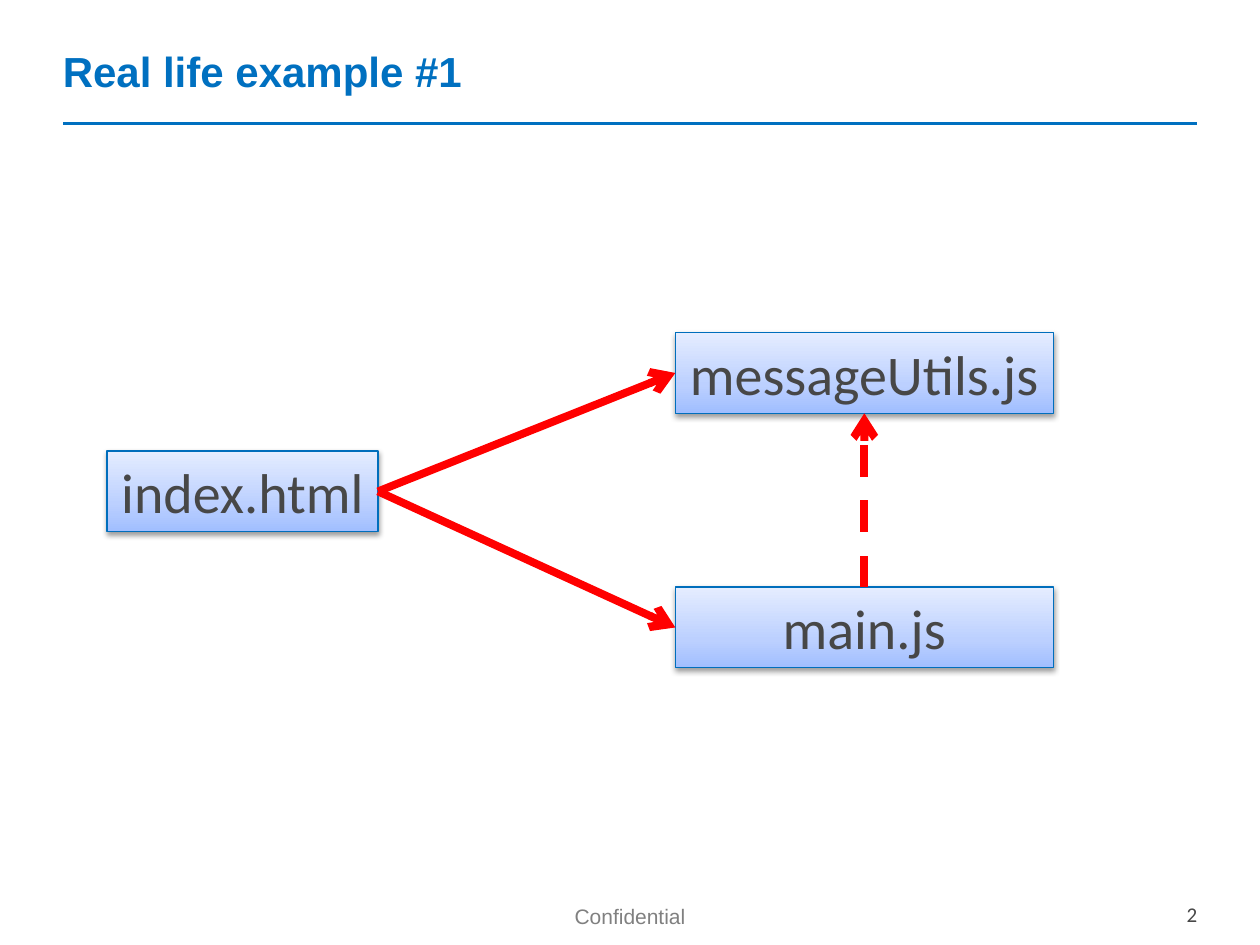
from dataclasses import dataclass

from lxml import etree
from pptx import Presentation
from pptx import util as u
from pptx.dml.color import RGBColor
from pptx.enum import dml, shapes, text
from pptx.oxml import parse_xml
from pptx.oxml.ns import nsdecls, qn


@dataclass(frozen=True)
class Theme:
    title: str = "0070C0"
    body: str = "474747"
    footer: str = "808080"
    border: str = "006EBC"
    arrow: str = "FF0000"
    shadow: str = "000000"
    gradient: tuple = ((0, "A0BEFF"), (35, "BCD0FF"), (100, "E5EDFF"))
    heading_font: str = "Arial"
    body_font: str = "Calibri"
    title_size: int = 24
    file_size: int = 32
    footer_size: int = 12


THEME = Theme()


def add_run(paragraph, words, font, size, color, bold=False):
    run = paragraph.add_run()
    run.text = words
    run.font.name = font
    run.font.size = u.Pt(size)
    run.font.color.rgb = RGBColor.from_string(color)
    run.font.bold = bold


def add_label(slide, box, words, font, size, color, align, bold=False):
    label = slide.shapes.add_textbox(*map(u.Inches, box))
    frame = label.text_frame
    frame.word_wrap = True
    frame.vertical_anchor = text.MSO_ANCHOR.MIDDLE
    paragraph = frame.paragraphs[0]
    paragraph.alignment = align
    add_run(paragraph, words, font, size, color, bold)
    return frame


def add_line(slide, start, end, color, width):
    line = slide.shapes.add_connector(
        shapes.MSO_CONNECTOR.STRAIGHT, *map(u.Inches, (*start, *end)))
    line.line.color.rgb = RGBColor.from_string(color)
    line.line.width = u.Pt(width)
    etree.SubElement(line._element.spPr, qn("a:effectLst"))
    return line


def add_header(slide, box):
    left, top, width, height = box
    add_label(slide, (left - 0.1, 0.02, width + 0.2, 1.08), "Real life example #1",
              THEME.heading_font, THEME.title_size, THEME.title,
              text.PP_ALIGN.LEFT, bold=True)
    rule = top + height
    add_line(slide, (left, rule), (left + width, rule), THEME.title, 2)


def add_footer(slide, box):
    left, top, width, height = box
    confidential_width, number_width = 2.12, 1
    center = left + (width - confidential_width) / 2
    right = left + width - number_width + 0.1
    parts = (
        ("Confidential", (center, top + 0.02, confidential_width, height),
         THEME.heading_font, THEME.footer, text.PP_ALIGN.CENTER),
        ("2", (right, top, number_width, height),
         THEME.body_font, THEME.body, text.PP_ALIGN.RIGHT),
    )
    for words, place, font, color, align in parts:
        frame = add_label(slide, place, words, font, THEME.footer_size, color, align)
        frame.vertical_anchor = text.MSO_ANCHOR.TOP
        frame.margin_top = u.Inches(0.07)
        frame.paragraphs[0].line_spacing = 0.93


def apply_gradient(shape):
    stops = "".join(
        f'<a:gs pos="{position * 1000}"><a:srgbClr val="{color}"/></a:gs>'
        for position, color in THEME.gradient)
    shape.fill.solid()
    properties = shape._element.spPr
    properties.replace(properties.find(qn("a:solidFill")), parse_xml(
        f'<a:gradFill {nsdecls("a")} rotWithShape="1"><a:gsLst>{stops}</a:gsLst>'
        '<a:lin ang="16200000" scaled="0"/></a:gradFill>'))


def apply_shadow(shape):
    shape.shadow.inherit = False
    shape._element.spPr.find(qn("a:effectLst")).append(parse_xml(
        f'<a:outerShdw {nsdecls("a")} blurRad="{u.Pt(3.1)}" dist="{u.Pt(1.6)}" '
        f'dir="5400000" rotWithShape="0"><a:srgbClr val="{THEME.shadow}">'
        '<a:alpha val="38000"/></a:srgbClr></a:outerShdw>'))


def add_file(slide, box, name):
    file = slide.shapes.add_shape(
        shapes.MSO_SHAPE.RECTANGLE, *map(u.Inches, box))
    apply_gradient(file)
    file.line.color.rgb = RGBColor.from_string(THEME.border)
    file.line.width = u.Pt(0.75)
    apply_shadow(file)
    frame = file.text_frame
    frame.word_wrap = False
    frame.vertical_anchor = text.MSO_ANCHOR.MIDDLE
    paragraph = frame.paragraphs[0]
    paragraph.alignment = text.PP_ALIGN.CENTER
    add_run(paragraph, name, THEME.body_font, THEME.file_size, THEME.body)
    return file


def add_dependency(slide, source, source_side, target, target_side, dashed=False):
    arrow = add_line(slide, (0, 0), (1, 1), THEME.arrow, 4.5)
    arrow.begin_connect(source, source_side)
    arrow.end_connect(target, target_side)
    if dashed:
        arrow.line.dash_style = dml.MSO_LINE.DASH
    etree.SubElement(arrow.line._get_or_add_ln(), qn("a:tailEnd"), type="arrow")


def add_dependency_diagram(slide, box):
    left, top, width, height = box
    file_height, script_width = 0.64, 3
    script_left = left + width - script_width
    utils = add_file(slide, (script_left, top, script_width, file_height),
                     "messageUtils.js")
    main_script = add_file(
        slide, (script_left, top + height - file_height, script_width, file_height),
        "main.js")
    page = add_file(slide, (left, top + 0.94, 2.15, file_height), "index.html")
    top_side, left_side, bottom_side, right_side = range(4)
    add_dependency(slide, page, right_side, utils, left_side)
    add_dependency(slide, page, right_side, main_script, left_side)
    add_dependency(slide, main_script, top_side, utils, bottom_side, dashed=True)


def main():
    deck = Presentation()
    deck.slide_width, deck.slide_height = u.Inches(10), u.Inches(7.5)
    slide = deck.slides.add_slide(deck.slide_layouts[6])
    add_header(slide, (0.5, 0.02, 9, 0.96))
    add_footer(slide, (0.5, 7.1, 9, 0.3))
    add_dependency_diagram(slide, (0.85, 2.64, 7.51, 2.66))
    deck.save("out.pptx")


if __name__ == "__main__":
    main()
